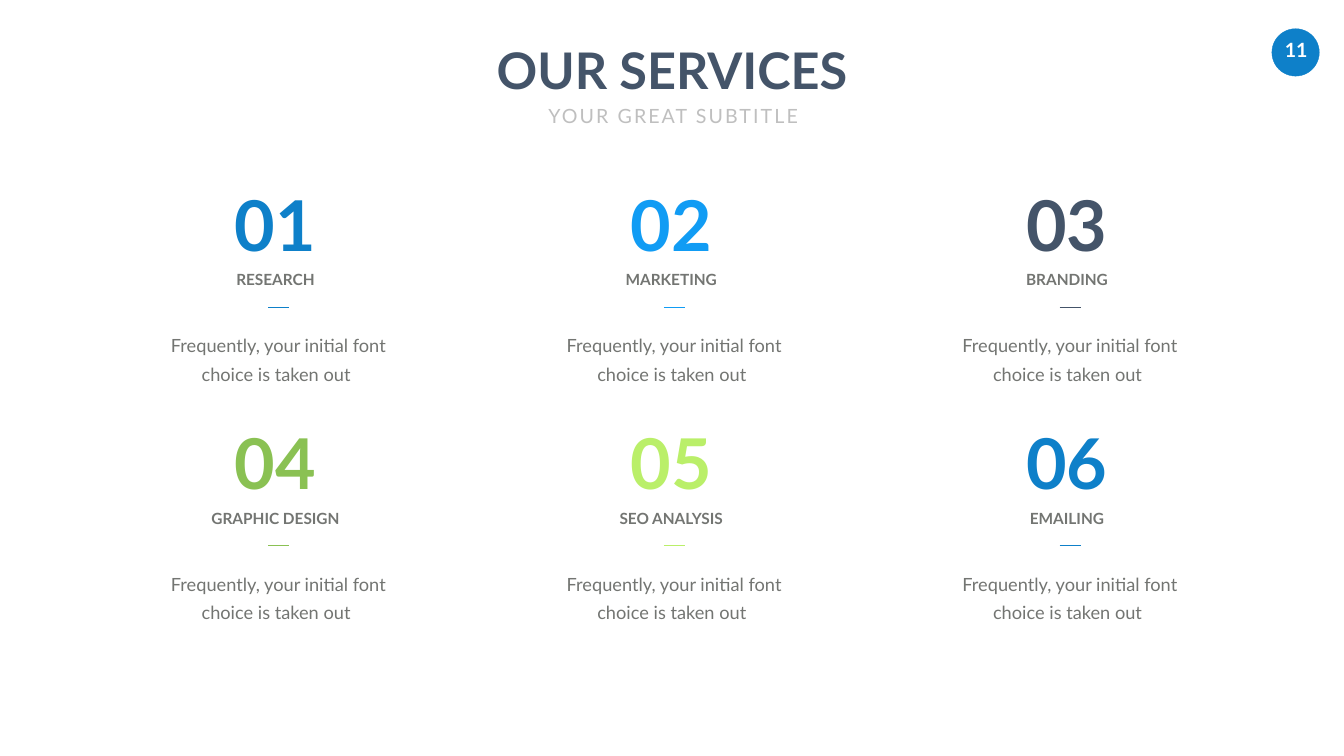
from dataclasses import dataclass

from pptx import Presentation
from pptx import util as u
from pptx.dml.color import RGBColor
from pptx.enum import shapes, text
from pptx.oxml.ns import qn
from pptx.slide import Slide

PX = u.Inches(1) // 100
FONT = "Lato"
BLUE, SKY, NAVY, GREEN, LIME = "0E80C9", "119CF4", "445469", "8AC153", "BAEF69"
GREY, PALE, WHITE = "737572", "BFBFBF", "FFFFFF"
COLUMNS, COLUMN_STEP, ROW_STEP = 3, 785, 473
DESCRIPTION = "Frequently, your initial font choice is taken out "


@dataclass(frozen=True)
class Area:
    left: int
    top: int
    width: int
    height: int

    def shifted(self, x: int, y: int) -> "Area":
        return Area(self.left + x, self.top + y, self.width, self.height)

    def emu(self) -> list[int]:
        return [n * PX for n in (self.left, self.top, self.width, self.height)]


@dataclass(frozen=True)
class Style:
    size: int
    color: str
    bold: bool = False
    inset_x: int = 10
    inset_y: int = 5
    line_spacing: u.Length | float | None = None
    wrap: bool = False
    tracking: int = 0


@dataclass(frozen=True)
class Service:
    name: str
    color: str


SERVICES = [
    Service("RESEARCH", BLUE),
    Service("MARKETING", SKY),
    Service("BRANDING", NAVY),
    Service("GRAPHIC DESIGN", GREEN),
    Service("SEO ANALYSIS", LIME),
    Service("EMAILING", BLUE),
]
TITLE = Style(72, NAVY, bold=True)
SUBTITLE = Style(28, PALE, inset_x=24, inset_y=12, line_spacing=1.2, tracking=3)
PAGE_NUMBER = Style(28, WHITE, bold=True, inset_x=20, inset_y=10)
LABEL = Style(22, GREY, bold=True, line_spacing=u.Pt(26.8))
BODY = Style(26, GREY, inset_x=24, inset_y=12, line_spacing=u.Pt(40.4), wrap=True)


def rgb(value: str) -> RGBColor:
    return RGBColor.from_string(value)


def add_text(page: Slide, area: Area, words: str, style: Style) -> None:
    box = page.shapes.add_textbox(*area.emu())
    frame = box.text_frame
    frame.word_wrap = style.wrap
    frame.auto_size = text.MSO_AUTO_SIZE.SHAPE_TO_FIT_TEXT
    frame.margin_left = frame.margin_right = style.inset_x * PX
    frame.margin_top = frame.margin_bottom = style.inset_y * PX
    para = frame.paragraphs[0]
    para.alignment = text.PP_ALIGN.CENTER
    if style.line_spacing is not None:
        para.line_spacing = style.line_spacing
    para.font.name = FONT
    para.font.size = u.Pt(style.size)
    para.font.bold = style.bold
    para.font.color.rgb = rgb(style.color)
    span = para.add_run()
    span.text = words
    if style.tracking:
        span._r.get_or_add_rPr().set("spc", str(style.tracking * 100))


def add_rule(page: Slide, area: Area, color: str) -> None:
    left, top, width, height = area.emu()
    rule = page.shapes.add_connector(
        shapes.MSO_CONNECTOR.STRAIGHT, left, top, left + width, top + height
    )
    rule.line.color.rgb = rgb(color)
    rule.line.width = u.Pt(0.5)
    rule._element.spPr.append(rule._element.makeelement(qn("a:effectLst"), {}))


def add_badge(page: Slide, number: str) -> None:
    circle = page.shapes.add_shape(
        shapes.MSO_SHAPE.OVAL, *Area(2523, 57, 94, 94).emu()
    )
    circle.shadow.inherit = False
    circle.fill.solid()
    circle.fill.fore_color.rgb = rgb(BLUE)
    circle.line.color.rgb = rgb(BLUE)
    circle.line.width = u.Pt(0.5)
    add_text(page, Area(2527, 66, 88, 67), number, PAGE_NUMBER)


def add_service(page: Slide, index: int, service: Service) -> None:
    row, column = divmod(index, COLUMNS)
    x, y = column * COLUMN_STEP, row * ROW_STEP
    number = Style(100, service.color, bold=True)
    add_text(page, Area(455, 355, 183, 178).shifted(x, y), f"{index + 1:02}", number)
    add_text(page, Area(405, 531, 283, 48).shifted(x, y), service.name, LABEL)
    add_rule(page, Area(532, 609, 42, 0).shifted(x, y), service.color)
    add_text(page, Area(301, 639, 503, 136).shifted(x, y), DESCRIPTION, BODY)


def main() -> None:
    """Build the services slide and save it."""
    deck = Presentation()
    deck.slide_width, deck.slide_height = 2666 * PX, 1500 * PX
    page = deck.slides.add_slide(deck.slide_layouts[6])
    add_badge(page, "11")
    add_text(page, Area(969, 72, 728, 131), "OUR SERVICES", TITLE)
    add_text(page, Area(1056, 185, 559, 81), "YOUR GREAT SUBTITLE", SUBTITLE)
    for index, service in enumerate(SERVICES):
        add_service(page, index, service)
    deck.save("out.pptx")


if __name__ == "__main__":
    main()
